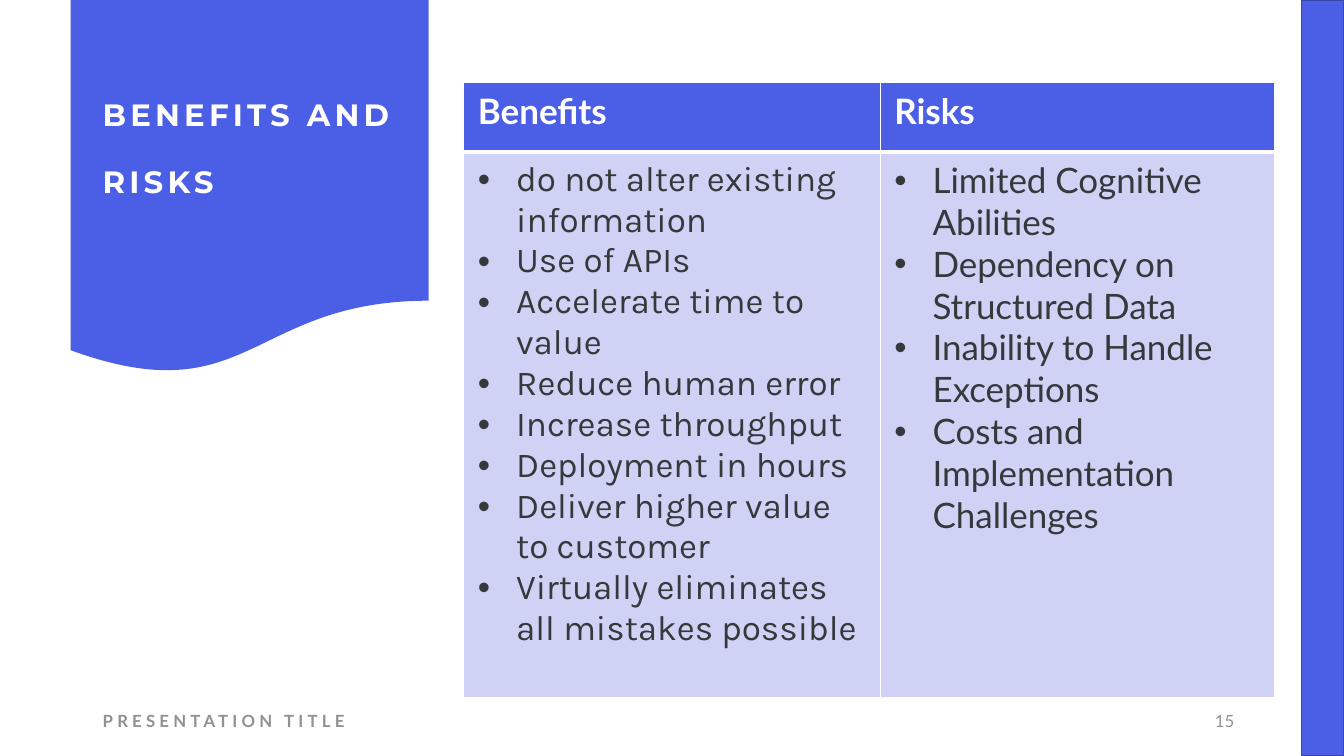
from dataclasses import dataclass

from pptx import Presentation
from pptx.dml.color import RGBColor
from pptx.enum.shapes import MSO_SHAPE as SHAPE
from pptx.enum.text import MSO_ANCHOR as ANCHOR
from pptx.oxml import parse_xml
from pptx.oxml.ns import nsdecls
from pptx.util import Inches, Pt


@dataclass(frozen=True)
class Theme:
    blue: str = "4A5EE6"
    edge: str = "3746AA"
    pale: str = "D0D2F5"
    white: str = "FFFFFF"
    ink: str = "36393B"
    gray: str = "919192"
    title: int = 22
    body: int = 25
    small: int = 12
    head_font: str = "Montserrat"
    main_font: str = "Lato"
    list_font: str = "Karla"


T = Theme()


def rgb(value):
    return RGBColor.from_string(value)


def write(tf, lines, font=T.main_font, size=T.small, color=T.ink, bold=False,
          tracking=0, gap=0, leading=None, bullet=False):
    """Fill a text frame, one paragraph for each line."""
    for i, line in enumerate(lines):
        p = tf.paragraphs[0] if i == 0 else tf.add_paragraph()
        if bullet:
            pPr = p._p.get_or_add_pPr()
            indent = Inches(0.38)
            pPr.set("marL", str(indent))
            pPr.set("indent", str(-indent))
            for tag in ('buFont %s typeface="Arial"', 'buChar %s char="•"'):
                pPr.append(parse_xml(f"<a:{tag % nsdecls('a')}/>"))
        if leading:
            p.line_spacing = leading
        if i and gap:
            p.space_before = Pt(gap)
        r = p.add_run()
        r.text = line
        f = r.font
        f.name, f.size, f.bold = font, Pt(size), bold
        f.color.rgb = rgb(color)
        if tracking:
            r._r.get_or_add_rPr().set("spc", str(tracking * 100))


class Deck:
    """Holds the theme and the current slide."""

    def __init__(self, prs, theme):
        self.theme = theme
        self.slide = prs.slides.add_slide(prs.slide_layouts[6])

    def shape(self, kind, x, y, w, h, fill, line=None):
        sp = self.slide.shapes.add_shape(kind, *map(Inches, (x, y, w, h)))
        sp.shadow.inherit = False
        sp.fill.solid()
        sp.fill.fore_color.rgb = rgb(fill)
        if line:
            sp.line.color.rgb = rgb(line)
            sp.line.width = Pt(1)
        else:
            sp.line.fill.background()

    def text(self, x, y, w, h, lines, **fmt):
        tf = self.slide.shapes.add_textbox(*map(Inches, (x, y, w, h))).text_frame
        tf.word_wrap = True
        tf.vertical_anchor = ANCHOR.MIDDLE
        write(tf, lines, **fmt)

    def cell(self, cell, lines, fill, bottom=1, **fmt):
        cell.margin_left = cell.margin_right = Inches(0.14)
        cell.margin_top = cell.margin_bottom = Inches(0.07)
        tcPr = cell._tc.get_or_add_tcPr()
        for side, width in zip("LRTB", (1, 1, 1, bottom)):
            tcPr.append(parse_xml(
                f'<a:ln{side} {nsdecls("a")} w="{Pt(width)}"><a:solidFill>'
                f'<a:srgbClr val="{self.theme.white}"/></a:solidFill></a:ln{side}>'))
        cell.fill.solid()
        cell.fill.fore_color.rgb = rgb(fill)
        write(cell.text_frame, lines, size=self.theme.body, **fmt)

    def table(self, x, y, widths, heights, columns):
        t = self.theme
        box = map(Inches, (x, y, sum(widths), sum(heights)))
        tbl = self.slide.shapes.add_table(len(heights), len(widths), *box).table
        for row, h in zip(tbl.rows, heights):
            row.height = Inches(h)
        for i, (w, (head, font, items)) in enumerate(zip(widths, columns)):
            tbl.columns[i].width = Inches(w)
            self.cell(tbl.cell(0, i), [head], t.blue, bottom=3,
                      color=t.white, bold=True)
            # The body cell shares the heavy rule below the header
            self.cell(tbl.cell(1, i), items, t.pale, font=font, bullet=True)
            tbl.cell(1, i)._tc.tcPr[2].set("w", str(Pt(3)))


BENEFITS = [
    "do not alter existing information",
    "Use of APIs",
    "Accelerate time to value",
    "Reduce human error",
    "Increase throughput",
    "Deployment in hours",
    "Deliver higher value to customer",
    "Virtually eliminates all mistakes possible",
]
RISKS = [
    "Limited Cognitive Abilities",
    "Dependency on Structured Data",
    "Inability to Handle Exceptions",
    "Costs and Implementation Challenges",
]


def main():
    prs = Presentation()
    prs.slide_width, prs.slide_height = Inches(13.33), Inches(7.5)
    deck = Deck(prs, T)

    # Side bar and title banner
    deck.shape(SHAPE.RECTANGLE, 12.91, 0, 0.42, 7.5, T.blue, T.edge)
    deck.shape(SHAPE.FLOWCHART_DOCUMENT, 0.7, 0, 3.55, 3.72, T.blue)
    deck.text(0.92, 0.19, 3.11, 2.59, ["BENEFITS AND", "RISKS"],
              font=T.head_font, size=T.title, color=T.white, bold=True,
              tracking=3, gap=24, leading=0.9)

    # Footer
    deck.text(0.92, 6.95, 6.52, 0.4, ["PRESENTATION TITLE"],
              color=T.gray, bold=True, tracking=3)
    deck.text(11.95, 6.95, 0.68, 0.4, ["15"], color=T.gray)

    # Comparison table
    deck.table(4.6, 0.82, (4.13, 3.91), (0.69, 5.41), [
        ("Benefits", T.list_font, BENEFITS),
        ("Risks", T.main_font, RISKS),
    ])

    prs.save("out.pptx")


if __name__ == "__main__":
    main()
